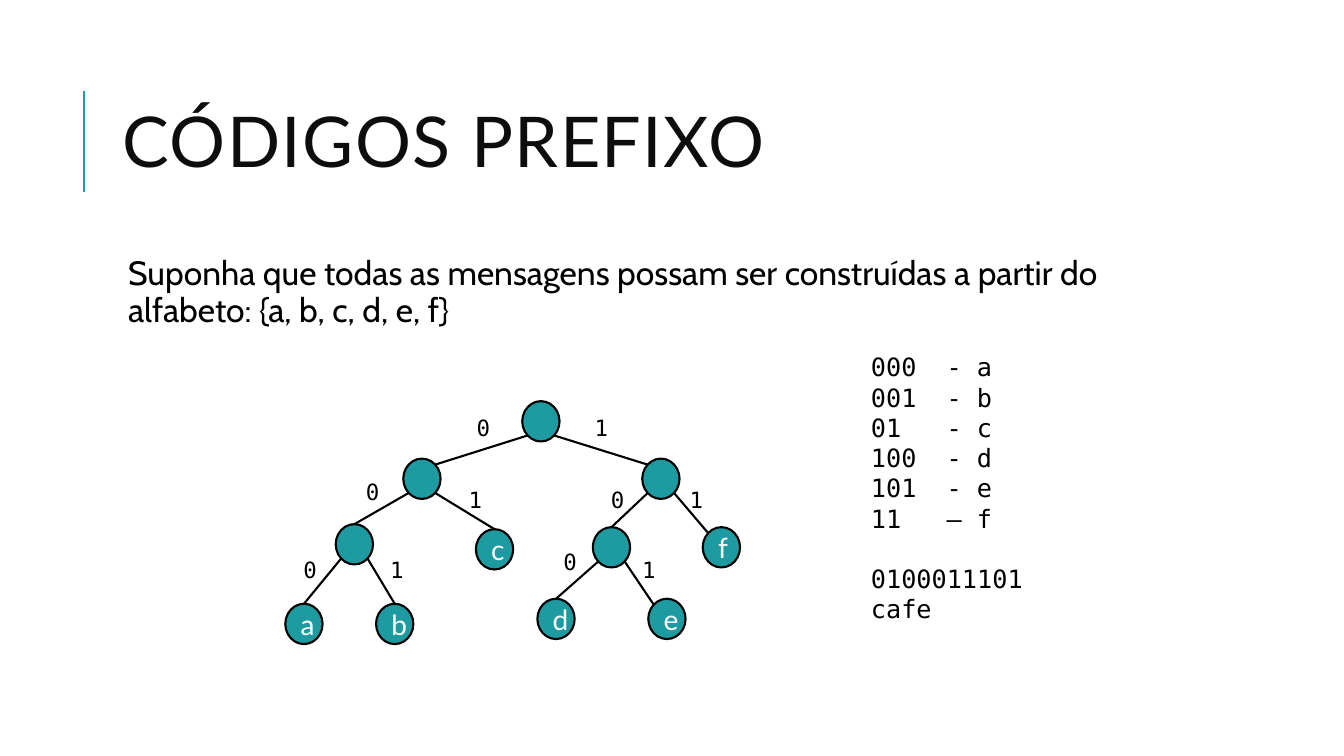
from dataclasses import dataclass

from lxml.etree import SubElement
from pptx import Presentation
from pptx.dml.color import RGBColor
from pptx.enum.shapes import MSO_CONNECTOR, MSO_SHAPE
from pptx.enum.text import MSO_ANCHOR, PP_ALIGN
from pptx.oxml.ns import qn
from pptx.util import Inches, Pt

TEAL, BLACK, INK, WHITE = "1D9BA1", "000000", "0D0D0D", "FFFFFF"
SANS, BODY, MONO = "Lato", "Cabin", "DejaVu Sans Mono"
CELL = 0.1
NODE_WIDTH, NODE_HEIGHT = 3.7, 4
CORNER_X, CORNER_Y = 1.3, 1.4

TREE = {
    "": ("", 25.35, 2),
    "0": ("", 13.55, 7.7),
    "1": ("", 37.25, 7.7),
    "00": ("", 6.85, 14.2),
    "01": ("c", 20.75, 14.7),
    "10": ("", 32.35, 14.5),
    "11": ("f", 43.25, 14.5),
    "000": ("a", 1.85, 22.1),
    "001": ("b", 10.85, 22.1),
    "100": ("d", 26.85, 21.6),
    "101": ("e", 37.85, 21.6),
}
SIDE_ENTRY = {"0": 1, "1": -1, "11": -1, "101": -1}
BIT_PLACES = {
    "0": (18, 0.8), "1": (29.7, 0.8),
    "00": (7, 7.1), "01": (17.2, 7.9),
    "10": (31.3, 7.9), "11": (39.1, 7.9),
    "000": (0.8, 14.9), "001": (9.4, 14.9),
    "100": (26.6, 14.1), "101": (34.4, 14.9),
}


@dataclass
class Box:
    left: float
    top: float
    width: float
    height: float

    def inner(self, left, top, width, height):
        return Box(self.left + left, self.top + top, width, height)

    def lengths(self):
        return [cells(n) for n in (self.left, self.top, self.width, self.height)]


def cells(count):
    return Inches(count * CELL)


def color(value):
    return RGBColor.from_string(value)


def style_text(frame, font, size, shade):
    for para in frame.paragraphs:
        for span in para.runs:
            span.font.name = font
            span.font.size = Pt(size)
            span.font.color.rgb = color(shade)


def add_text(page, box, text, font, size, shade=BLACK, wrap=True):
    frame = page.shapes.add_textbox(*box.lengths()).text_frame
    frame.word_wrap = wrap
    frame.text = text
    style_text(frame, font, size, shade)
    return frame


def add_line(page, box, start, end, shade):
    points = [cells(n) for x, y in (start, end) for n in (box.left + x, box.top + y)]
    line = page.shapes.add_connector(MSO_CONNECTOR.STRAIGHT, *points)
    line.line.color.rgb = color(shade)
    line.line.width = Pt(1.5)
    SubElement(line._element.spPr, qn("a:effectLst"))


def add_title(page, box):
    add_line(page, box, (-2.9, 2.6), (-2.9, 12.6), TEAL)
    frame = add_text(page, box, "CÓDIGOS PREFIXO", SANS, 50, INK)
    frame.vertical_anchor = MSO_ANCHOR.MIDDLE
    para = frame.paragraphs[0]
    para.line_spacing = 0.8
    para.runs[0].font._element.set("spc", "100")


def add_statement(page, box):
    text = ("Suponha que todas as mensagens possam ser construídas "
            "a partir do alfabeto: {a, b, c, d, e, f}")
    frame = add_text(page, box, text, BODY, 24)
    frame.margin_left = Inches(0.15)
    frame.margin_top = frame.margin_right = frame.margin_bottom = Inches(0.05)
    frame.paragraphs[0].line_spacing = 0.9


def add_edge(page, box, code):
    _, parent_x, parent_y = TREE[code[:-1]]
    _, child_x, child_y = TREE[code]
    direction = -1 if code[-1] == "0" else 1
    side = SIDE_ENTRY.get(code, 0)
    rise = CORNER_Y if side else NODE_HEIGHT / 2
    start = (parent_x + direction * CORNER_X, parent_y + CORNER_Y)
    end = (child_x + side * CORNER_X, child_y - rise)
    add_line(page, box, start, end, BLACK)


def add_node(page, box, letter, x, y):
    place = box.inner(x - NODE_WIDTH / 2, y - NODE_HEIGHT / 2, NODE_WIDTH, NODE_HEIGHT)
    node = page.shapes.add_shape(MSO_SHAPE.OVAL, *place.lengths())
    node.shadow.inherit = False
    node.fill.solid()
    node.fill.fore_color.rgb = color(TEAL)
    node.line.color.rgb = color(BLACK)
    node.line.width = Pt(1.5)
    if letter:
        frame = node.text_frame
        frame.text = letter
        frame.vertical_anchor = MSO_ANCHOR.MIDDLE
        frame.paragraphs[0].alignment = PP_ALIGN.CENTER
        style_text(frame, SANS, 20, WHITE)


def add_tree(page, box):
    for code in BIT_PLACES:
        add_edge(page, box, code)
    for letter, x, y in TREE.values():
        add_node(page, box, letter, x, y)
    for code, (x, y) in BIT_PLACES.items():
        add_text(page, box.inner(x, y, 3.2, 3.7), code[-1], MONO, 16, wrap=False)


def add_code_list(page, box):
    leaves = sorted((letter, code) for code, (letter, _, _) in TREE.items() if letter)
    rows = [f"{code}\t{'–' if letter == 'f' else '-'} {letter}" for letter, code in leaves]
    frame = add_text(page, box, "\n".join(rows + ["0100011101", "cafe"]), MONO, 18)
    for para in frame.paragraphs[:len(rows)]:
        stops = SubElement(para._p.get_or_add_pPr(), qn("a:tabLst"))
        SubElement(stops, qn("a:tab"), pos=str(cells(7.5)), algn="l")
    frame.paragraphs[len(rows)].space_before = Pt(21.5)


deck = Presentation()
deck.slide_width, deck.slide_height = Inches(13.33), Inches(7.5)
page = deck.slides.add_slide(deck.slide_layouts[6])
add_title(page, Box(11.2, 6.4, 106.3, 16.4))
add_statement(page, Box(11.2, 25, 106.3, 44))
add_tree(page, Box(28.3, 39.8, 45.1, 24.1))
add_code_list(page, Box(85.4, 34.4, 20, 31.3))
deck.save("out.pptx")
